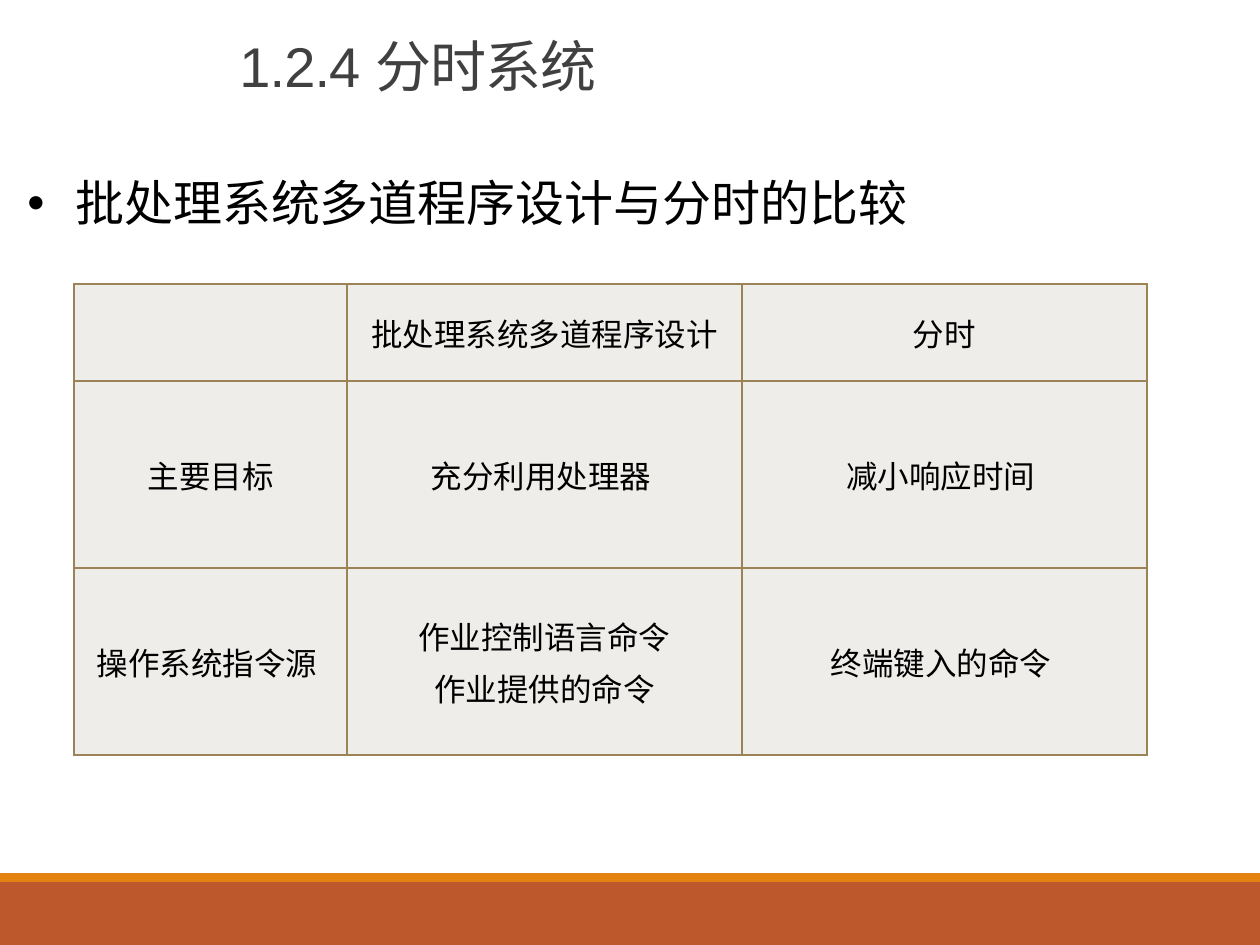
"""Builds a slide comparing batch multiprogramming with time sharing."""
from lxml import etree
from pptx import Presentation
from pptx.dml.color import RGBColor
from pptx.enum.shapes import MSO_SHAPE
from pptx.enum.text import MSO_ANCHOR, PP_ALIGN
from pptx.oxml import parse_xml
from pptx.oxml.ns import qn
from pptx.util import Emu, Pt

RECTANGLE = MSO_SHAPE.RECTANGLE
MIDDLE, TOP = MSO_ANCHOR.MIDDLE, MSO_ANCHOR.TOP
CENTER, LEFT = PP_ALIGN.CENTER, PP_ALIGN.LEFT
NAMESPACE = "http://schemas.openxmlformats.org/drawingml/2006/main"


def px(length):
    return Emu(round(length * 914400 / 126))


def write(frame, lines, size, font, color, anchor, paragraph_format):
    frame.word_wrap = True
    frame.vertical_anchor = anchor
    for index, line in enumerate(lines):
        paragraph = frame.paragraphs[0] if index == 0 else frame.add_paragraph()
        for name, value in paragraph_format.items():
            setattr(paragraph, name, value)
        run = paragraph.add_run()
        run.text = line
        run.font.color.rgb = RGBColor.from_string(color)
        for name, value in {"size": Pt(size), "name": font}.items():
            setattr(run.font, name, value)
    return frame.paragraphs[0]


presentation = Presentation()
presentation.slide_width, presentation.slide_height = px(1260), px(945)
slide = presentation.slides.add_slide(presentation.slide_layouts[6])

for top, height, color in [(882, 63, "BD582C"), (873, 9, "E48312")]:
    band = slide.shapes.add_shape(RECTANGLE, 0, px(top), px(1260), px(height))
    band.shadow.inherit = False
    band.fill.solid()
    band.fill.fore_color.rgb = RGBColor.from_string(color)
    band.line.fill.background()

topic = slide.shapes.add_textbox(px(15), px(155), px(1221), px(764))
topic_paragraph = write(
    topic.text_frame, ["批处理系统多道程序设计与分时的比较"], 28, "Times New Roman", "000000", TOP,
    {"alignment": LEFT, "line_spacing": 1.2, "space_before": Pt(5.6)})
properties = topic_paragraph._p.get_or_add_pPr()
for name, value in {"marL": px(48), "indent": -px(48)}.items():
    properties.set(name, str(value))
etree.SubElement(properties, qn("a:buFont")).set("typeface", "Arial")
etree.SubElement(properties, qn("a:buChar")).set("char", "•")

rows = [
    [[], ["批处理系统多道程序设计"], ["分时"]],
    [["主要目标"], ["充分利用处理器 "], ["减小响应时间 "]],
    [["操作系统指令源 "], ["作业控制语言命令", "作业提供的命令"], ["终端键入的命令 "]],
]
column_widths = [273, 395, 405]
row_heights = [97, 187, 187]
table = slide.shapes.add_table(
    len(rows), len(column_widths), px(74), px(284),
    px(sum(column_widths)), px(sum(row_heights))).table
for column, width in zip(table.columns, column_widths):
    column.width = px(width)
for row, height in zip(table.rows, row_heights):
    row.height = px(height)
for row_index, row in enumerate(rows):
    for column_index, lines in enumerate(row):
        cell = table.cell(row_index, column_index)
        cell_properties = cell._tc.get_or_add_tcPr()
        for side in "LRTB":
            cell_properties.append(parse_xml(
                f'<a:ln{side} xmlns:a="{NAMESPACE}" w="{Pt(1)}"><a:solidFill>'
                f'<a:srgbClr val="9B8357"/></a:solidFill></a:ln{side}>'))
        cell.fill.solid()
        cell.fill.fore_color.rgb = RGBColor.from_string("EFEDEA")
        write(cell.text_frame, lines, 18, "Arial", "000000", MIDDLE,
              {"alignment": CENTER, "space_before": Pt(3.6)})
        cell.vertical_anchor = MIDDLE

title = slide.shapes.add_textbox(px(227), px(6), px(1033), px(129))
title_paragraph = write(title.text_frame, ["1.2.4 分时系统"], 32, "Arial", "404040", MIDDLE,
                        {"alignment": LEFT, "line_spacing": 0.85})
title_paragraph.runs[0].font._element.set("spc", "-50")

presentation.save("out.pptx")
